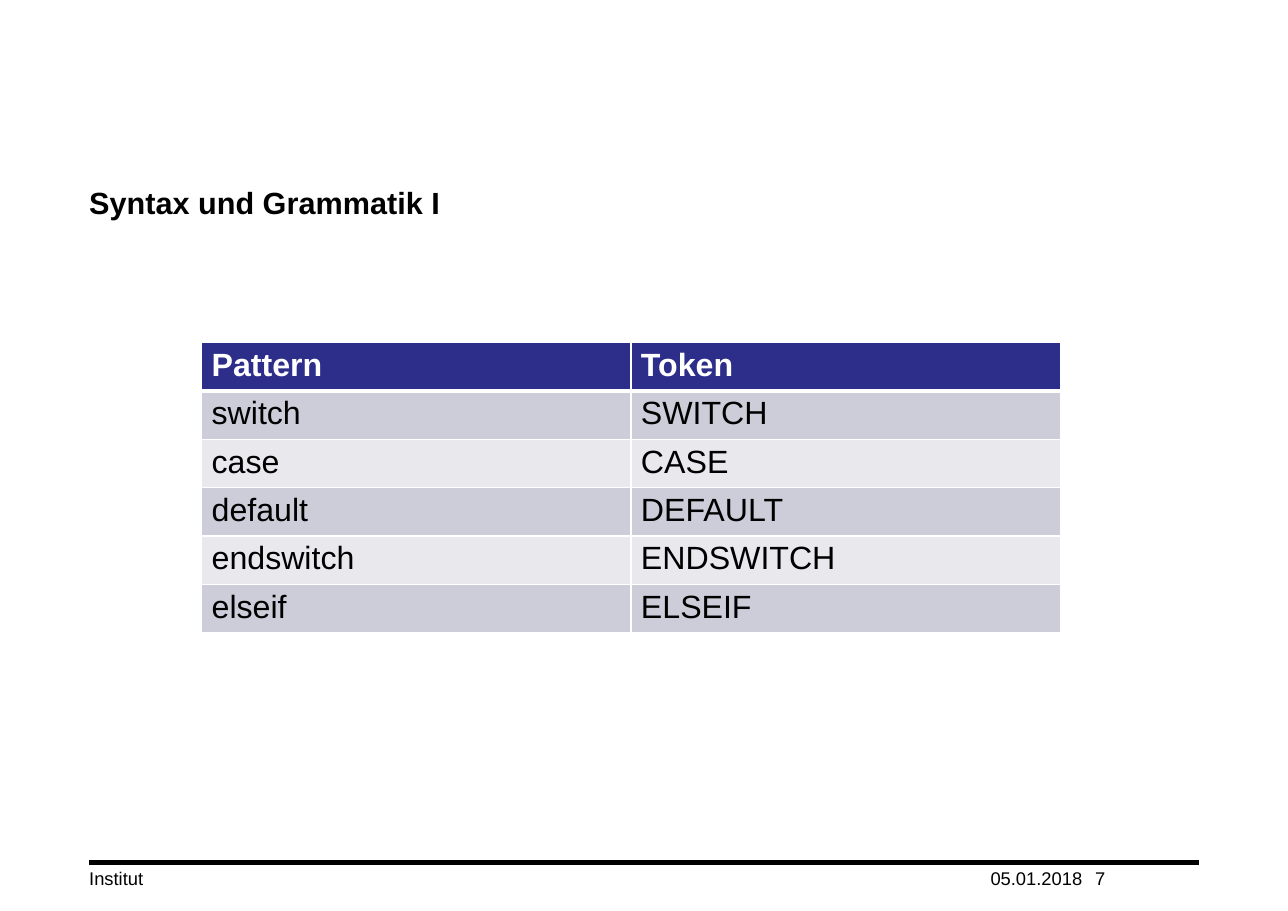
from dataclasses import dataclass

from lxml import etree
from pptx import Presentation
from pptx.dml.color import RGBColor
from pptx.enum.shapes import MSO_CONNECTOR
from pptx.enum.text import MSO_ANCHOR, PP_ALIGN
from pptx.oxml.ns import qn
from pptx.util import Pt

STRAIGHT = MSO_CONNECTOR.STRAIGHT
TOP, BOTTOM = MSO_ANCHOR.TOP, MSO_ANCHOR.BOTTOM
LEFT = PP_ALIGN.LEFT

SLIDE_WIDTH, SLIDE_HEIGHT = 841.7, 595.4
MARGIN_LEFT, CONTENT_RIGHT = 58.3, 783.4
FOOTER_TOP, FOOTER_HEIGHT = 566.6, 14.4
DATE_LEFT, PAGE_LEFT = 647.3, 715.7

TOKENS = [
    ("Pattern", "Token"),
    ("switch", "SWITCH"),
    ("case", "CASE"),
    ("default", "DEFAULT"),
    ("endswitch", "ENDSWITCH"),
    ("elseif", "ELSEIF"),
]


@dataclass(frozen=True)
class Theme:
    font: str = "Arial"
    ink: str = "000000"
    paper: str = "FFFFFF"
    header: str = "2D2D8A"
    bands: tuple = ("CDCDDA", "E8E8ED")
    title_size: int = 20
    table_size: int = 21
    footer_size: int = 12


class SlideBuilder:
    def __init__(self, slide, theme):
        self.slide = slide
        self.theme = theme

    def add_run(self, paragraph, text, size, color, bold=False):
        paragraph.alignment = LEFT
        run = paragraph.add_run()
        run.text = text
        run.font.name = self.theme.font
        run.font.size = Pt(size)
        run.font.bold = bold
        run.font.color.rgb = RGBColor.from_string(color)

    def text(self, text, left, top, width, height, size, anchor=TOP, bold=False):
        box = self.slide.shapes.add_textbox(Pt(left), Pt(top), Pt(width), Pt(height))
        frame = box.text_frame
        frame.word_wrap = True
        frame.vertical_anchor = anchor
        frame.margin_left = frame.margin_right = 0
        frame.margin_top = frame.margin_bottom = 0
        self.add_run(frame.paragraphs[0], text, size, self.theme.ink, bold)

    def footer(self, text, left, right):
        self.text(text, left, FOOTER_TOP, right - left, FOOTER_HEIGHT,
                  self.theme.footer_size, BOTTOM)

    def rule(self, left, right, y, weight):
        line = self.slide.shapes.add_connector(
            STRAIGHT, Pt(left), Pt(y), Pt(right), Pt(y))
        line.line.width = Pt(weight)
        line.line.color.rgb = RGBColor.from_string(self.theme.ink)
        etree.SubElement(line._element.spPr, qn("a:effectLst"))

    def cell_borders(self, cell, weights):
        """Draw borders in the paper colour; weights maps an edge tag to points."""
        properties = cell._tc.get_or_add_tcPr()
        for position, (edge, weight) in enumerate(weights.items()):
            border = etree.Element(qn(f"a:{edge}"), w=str(Pt(weight)))
            fill = etree.SubElement(border, qn("a:solidFill"))
            etree.SubElement(fill, qn("a:srgbClr"), val=self.theme.paper)
            properties.insert(position, border)

    def table(self, rows, left, top, column_width, row_height):
        """Build a table whose first row is the header and the rest is banded."""
        theme = self.theme
        column_count = len(rows[0])
        table = self.slide.shapes.add_table(
            len(rows), column_count, Pt(left), Pt(top),
            Pt(column_width * column_count), Pt(row_height * len(rows))).table
        for column in table.columns:
            column.width = Pt(column_width)
        for row_index, row in enumerate(rows):
            table.rows[row_index].height = Pt(row_height)
            is_header = row_index == 0
            background = theme.header if is_header else theme.bands[(row_index - 1) % 2]
            color = theme.paper if is_header else theme.ink
            weights = {"lnL": 1, "lnR": 1,
                       "lnT": 3 if row_index == 1 else 1,
                       "lnB": 3 if is_header else 1}
            for column_index, text in enumerate(row):
                cell = table.cell(row_index, column_index)
                cell.margin_left = cell.margin_right = Pt(6.5)
                cell.margin_top = cell.margin_bottom = Pt(3.2)
                cell.fill.solid()
                cell.fill.fore_color.rgb = RGBColor.from_string(background)
                self.cell_borders(cell, weights)
                self.add_run(cell.text_frame.paragraphs[0], text,
                             theme.table_size, color, is_header)


def main():
    presentation = Presentation()
    presentation.slide_width = Pt(SLIDE_WIDTH)
    presentation.slide_height = Pt(SLIDE_HEIGHT)
    theme = Theme()
    builder = SlideBuilder(
        presentation.slides.add_slide(presentation.slide_layouts[6]), theme)

    builder.rule(MARGIN_LEFT, CONTENT_RIGHT, y=563.8, weight=3)
    builder.footer("Institut", MARGIN_LEFT, DATE_LEFT)
    builder.footer("05.01.2018", DATE_LEFT, PAGE_LEFT)
    builder.footer("7", PAGE_LEFT, CONTENT_RIGHT)
    builder.text("Syntax und Grammatik I", MARGIN_LEFT, 120,
                 CONTENT_RIGHT - MARGIN_LEFT, 28.8, theme.title_size, bold=True)
    builder.table(TOKENS, left=131.8, top=224, column_width=280.6, row_height=30.5)

    presentation.save("out.pptx")


if __name__ == "__main__":
    main()
